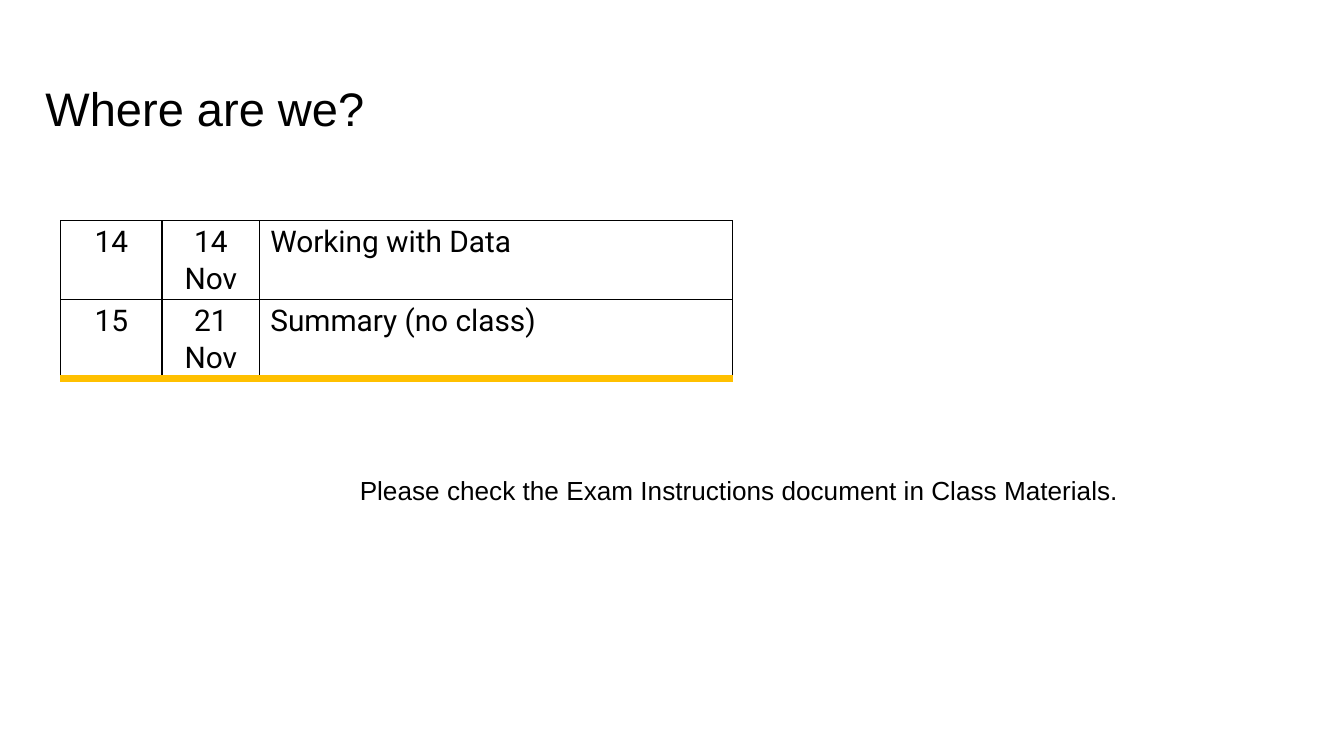
from lxml.etree import SubElement
from pptx import Presentation
from pptx.dml.color import RGBColor
from pptx.enum.text import MSO_ANCHOR as Anchor, PP_ALIGN as Align
from pptx.oxml.ns import qn
from pptx.util import Cm, Pt

BLACK = "000000"
GOLD = "FFC000"
SCHEDULE = [
    ("14", "14 Nov", "Working with Data"),
    ("15", "21 Nov", "Summary (no class)"),
]


def color(value):
    """Return the colour for a hex string."""
    return RGBColor.from_string(value)


def write(frame, text, size, font="Arial", fill=BLACK, align=Align.LEFT, spacing=1.0):
    """Put one formatted paragraph into a text frame."""
    paragraph = frame.paragraphs[0]
    paragraph.alignment = align
    paragraph.line_spacing = spacing
    run = paragraph.add_run()
    run.text = text
    run.font.size = Pt(size)
    run.font.name = font
    run.font.color.rgb = color(fill)


def set_margins(target, left, top, right, bottom):
    """Set the inner margins of a text frame or a cell in centimetres."""
    target.margin_left, target.margin_top = Cm(left), Cm(top)
    target.margin_right, target.margin_bottom = Cm(right), Cm(bottom)


def set_border(cell, side, width, fill):
    """Draw one side of a cell's border."""
    line = SubElement(cell._tc.get_or_add_tcPr(), qn(f"a:ln{side}"), w=str(Pt(width)))
    solid = SubElement(line, qn("a:solidFill"))
    SubElement(solid, qn("a:srgbClr"), val=fill)


def add_title(slide, left, top, width, height):
    """Place the slide title in its box."""
    frame = slide.shapes.add_textbox(Cm(left), Cm(top), Cm(width), Cm(height)).text_frame
    frame.word_wrap = True
    frame.vertical_anchor = Anchor.MIDDLE
    set_margins(frame, 0, 0.25, 0, 0.25)
    write(frame, "Where are we?", 25.2)


def add_schedule(slide, left, top, width, height):
    """Place the table of weeks, dates and topics in its box."""
    frame = slide.shapes.add_table(
        len(SCHEDULE), 3, Cm(left), Cm(top), Cm(width), Cm(height))
    schedule = frame.table
    schedule.first_row = schedule.horz_banding = False
    week_width, date_width = 1.91, 1.85
    column_widths = (week_width, date_width, width - week_width - date_width)
    for column, column_width in zip(schedule.columns, column_widths):
        column.width = Cm(column_width)

    for row, entries in enumerate(SCHEDULE):
        is_last = row == len(SCHEDULE) - 1
        for column, entry in enumerate(entries):
            cell = schedule.cell(row, column)
            set_margins(cell, 0.2, 0.03, 0.2, 0)
            align = Align.LEFT if column == 2 else Align.CENTER
            write(cell.text_frame, entry, 16, font="Roboto", align=align, spacing=1.08)
            for side in "LRT":
                set_border(cell, side, 0.75, BLACK)
            set_border(cell, "B", *((4.13, GOLD) if is_last else (0.75, BLACK)))
            cell.fill.background()


def add_exam_note(slide, left, top, width, height):
    """Place the note on the exam instructions in its box."""
    frame = slide.shapes.add_textbox(Cm(left), Cm(top), Cm(width), Cm(height)).text_frame
    frame.word_wrap = True
    write(frame, "Please check the Exam Instructions document in Class Materials.", 14)


def main():
    """Build the slide and save it."""
    deck = Presentation()
    deck.slide_width, deck.slide_height = Cm(25.4), Cm(14.29)
    slide = deck.slides.add_slide(deck.slide_layouts[6])
    add_title(slide, 0.86, 1.24, 23.67, 1.6)
    add_schedule(slide, 1.15, 4.17, 12.7, 2.84)
    add_exam_note(slide, 6.55, 8.84, 15.4, 0.86)
    deck.save("out.pptx")


if __name__ == "__main__":
    main()
